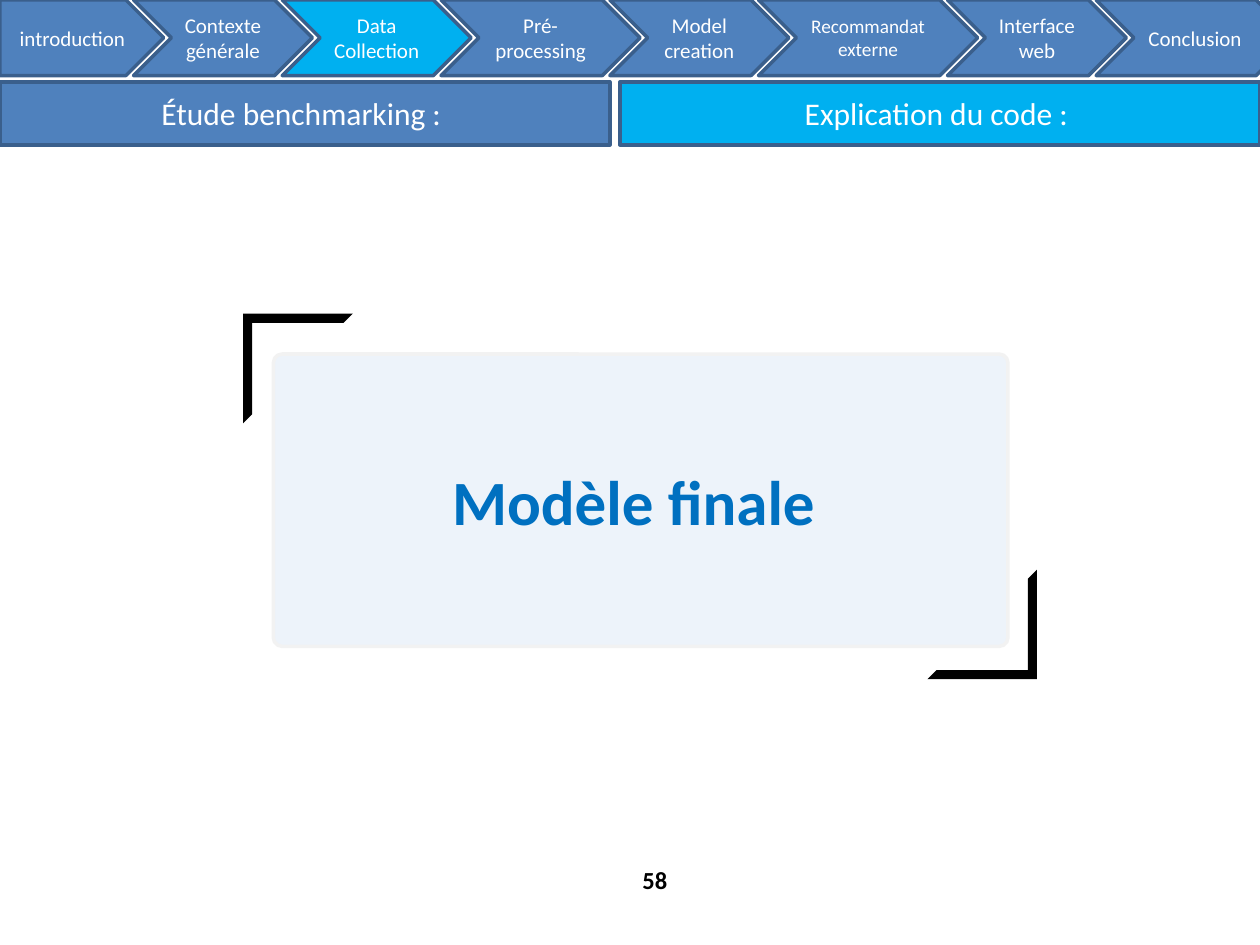
from lxml.etree import SubElement
from pptx import Presentation
from pptx.dml.color import RGBColor
from pptx.enum.shapes import MSO_SHAPE
from pptx.enum.text import MSO_ANCHOR, MSO_AUTO_SIZE, PP_ALIGN
from pptx.oxml.ns import qn
from pptx.util import Inches, Pt

COLORS = {
    "blue": "4F81BD",
    "active": "00B0F0",
    "border": "3A5F8C",
    "panel": "C6D9F1",
    "panel_border": "F2F2F2",
    "heading": "0070C0",
    "white": "FFFFFF",
    "black": "000000",
}
FONT = "Calibri"
STEP_OVERLAP = 0.24
STEPS = [
    ("introduction", 1.3, 12),
    ("Contexte générale", 1.42, 12),
    ("Data Collection", 1.5, 12),
    ("Pré-processing", 1.58, 12),
    ("Model creation", 1.42, 12),
    ("Recommandat externe", 1.74, 11),
    ("Interface web", 1.42, 12),
    ("Conclusion", 1.57, 12),
]
ACTIVE_STEP = "Data Collection"


def color(name):
    """Return the named colour."""
    return RGBColor.from_string(COLORS[name])


def write_text(shape, text, size=12, ink="white", bold=False, align=PP_ALIGN.CENTER):
    """Put one formatted paragraph in a shape."""
    paragraph = shape.text_frame.paragraphs[0]
    paragraph.alignment = align
    run = paragraph.add_run()
    run.text = text
    run.font.name = FONT
    run.font.size = Pt(size)
    run.font.bold = bold
    run.font.color.rgb = color(ink)


def add_box(slide, kind, left, top, width, height, fill, line=None):
    """Add a flat preset shape with an optional outline."""
    shape = slide.shapes.add_shape(
        kind, Inches(left), Inches(top), Inches(width), Inches(height)
    )
    shape.shadow.inherit = False
    shape.fill.solid()
    shape.fill.fore_color.rgb = color(fill)
    if line:
        shape.line.color.rgb = color(line)
        shape.line.width = Pt(2)
    else:
        shape.line.fill.background()
    shape.text_frame.word_wrap = True
    shape.text_frame.vertical_anchor = MSO_ANCHOR.MIDDLE
    return shape


def set_opacity(shape, percent):
    """Make the solid fill of a shape partly transparent."""
    fill_color = shape.fill._xPr.find(qn("a:solidFill"))[0]
    SubElement(fill_color, qn("a:alpha"), val=str(percent * 1000))


def add_panel(slide):
    """Add the central panel with its heading."""
    panel = add_box(slide, MSO_SHAPE.ROUNDED_RECTANGLE, 2.17, 2.81, 5.83, 2.32,
                    "panel", "panel_border")
    panel.adjustments[0] = 0.03
    set_opacity(panel, 30)
    write_text(panel, "Modèle finale ", size=36, ink="heading", bold=True)


def add_corner(slide, left, top, rotation):
    """Add one corner bracket of the panel."""
    corner = add_box(slide, MSO_SHAPE.HALF_FRAME, left, top, 0.87, 0.87, "black")
    corner.adjustments[0] = corner.adjustments[1] = 0.083
    corner.rotation = rotation


def add_steps(slide):
    """Add the row of overlapping progress arrows."""
    left = 0
    for index, (label, width, size) in enumerate(STEPS):
        kind = MSO_SHAPE.CHEVRON if index else MSO_SHAPE.PENTAGON
        fill = "active" if label == ACTIVE_STEP else "blue"
        step = add_box(slide, kind, left, 0, width, 0.6, fill, "border")
        write_text(step, label, size=size)
        left += width - STEP_OVERLAP


def add_tab(slide, text, left, width, fill):
    """Add one section tab below the progress row."""
    tab = add_box(slide, MSO_SHAPE.RECTANGLE, left, 0.65, width, 0.5, fill, "border")
    write_text(tab, text, size=18)


def add_page_number(slide, text):
    """Add the page number at the foot."""
    box = slide.shapes.add_textbox(Inches(5), Inches(6.82), Inches(0.4), Inches(0.34))
    box.text_frame.word_wrap = False
    box.text_frame.auto_size = MSO_AUTO_SIZE.SHAPE_TO_FIT_TEXT
    write_text(box, text, size=14, ink="black", bold=True, align=PP_ALIGN.LEFT)


def main():
    """Build and save the slide."""
    presentation = Presentation()
    presentation.slide_width = Inches(10)
    presentation.slide_height = Inches(7.5)
    slide = presentation.slides.add_slide(presentation.slide_layouts[6])
    add_panel(slide)
    add_corner(slide, 1.93, 2.49, 0)
    add_corner(slide, 7.36, 4.52, 180)
    add_steps(slide)
    add_page_number(slide, "58")
    add_tab(slide, "Étude benchmarking : ", 0, 4.84, "blue")
    add_tab(slide, "Explication du code : ", 4.92, 5.08, "active")
    presentation.save("out.pptx")


if __name__ == "__main__":
    main()
